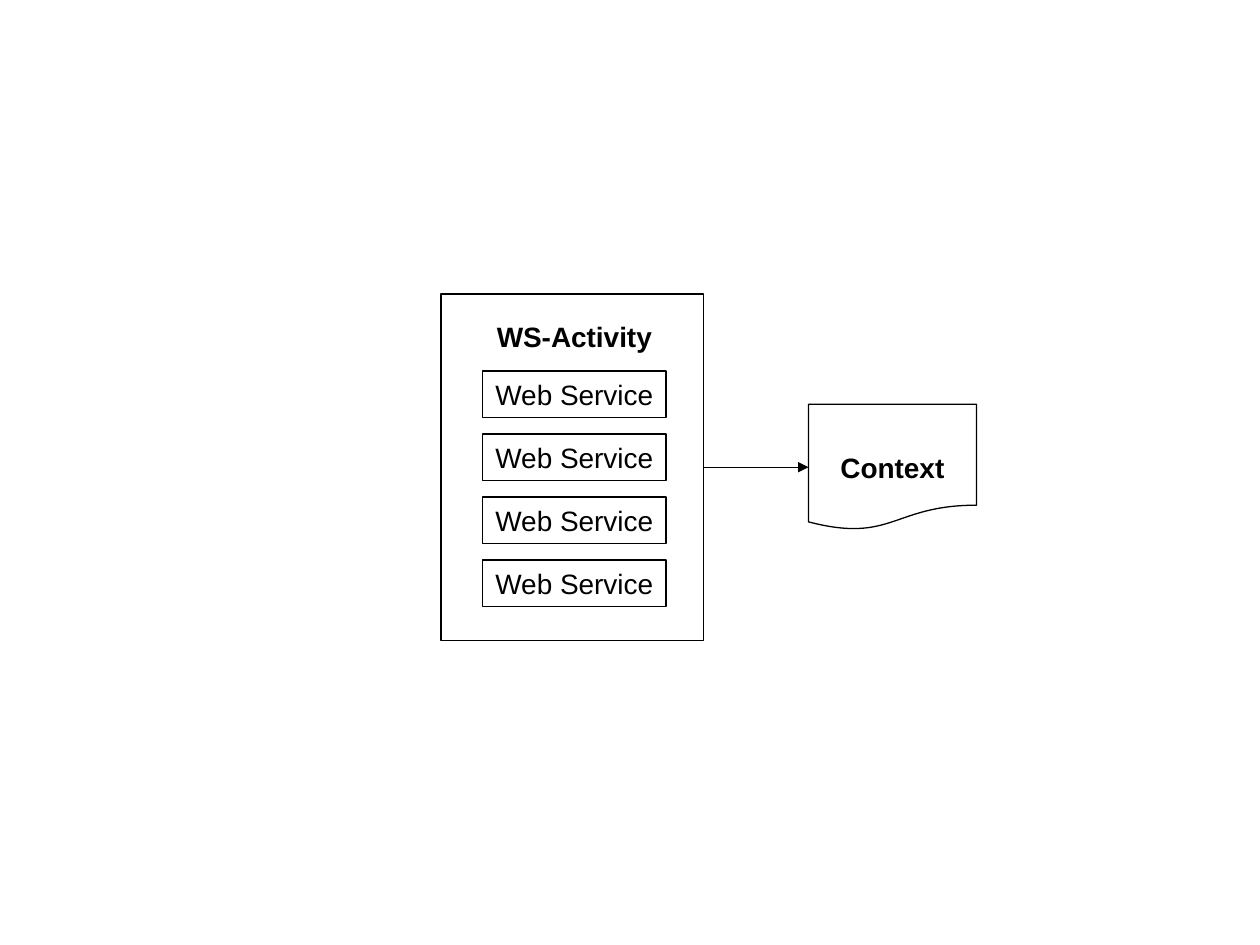
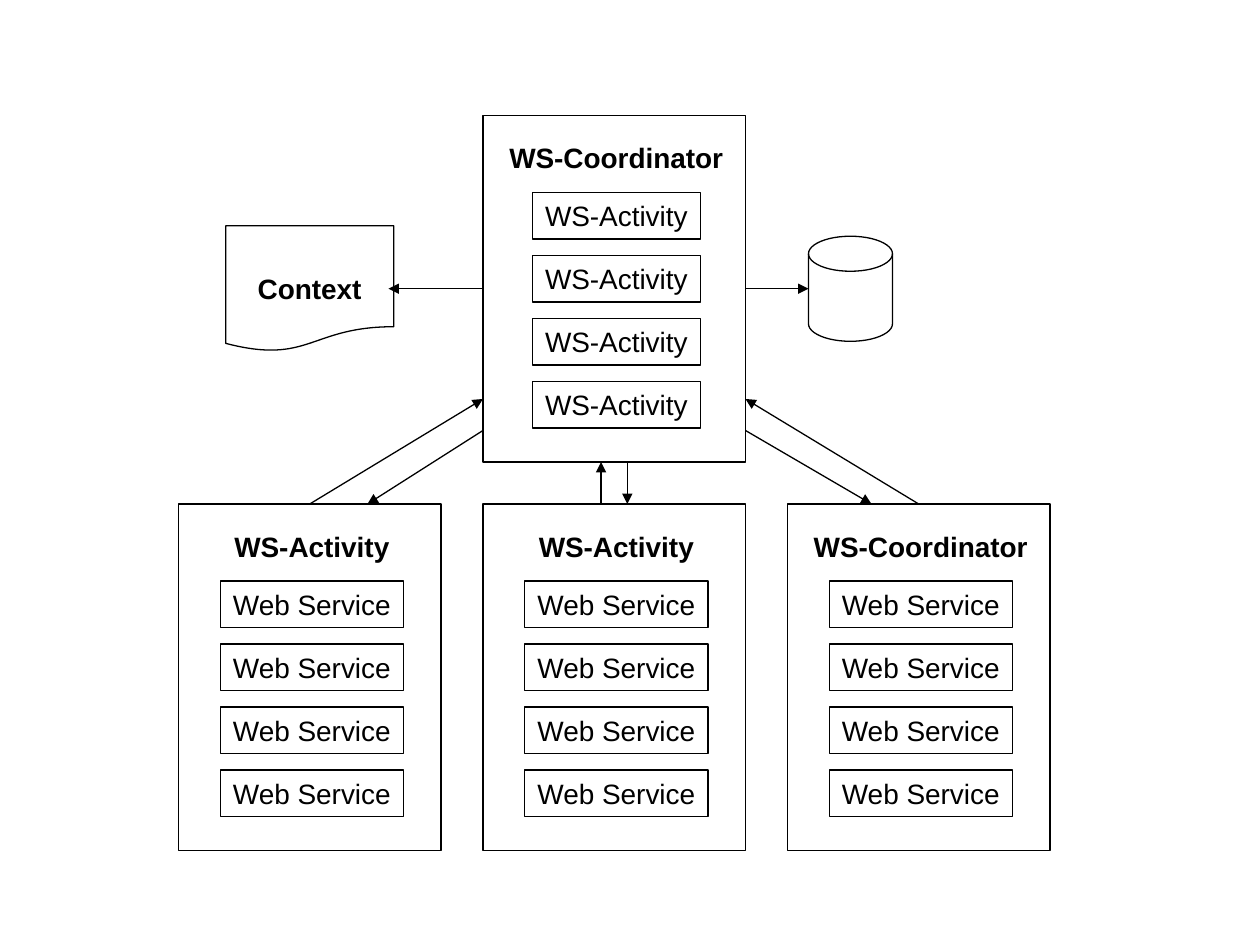
from lxml.etree import SubElement
from pptx import Presentation
from pptx.dml.color import RGBColor
from pptx.enum.shapes import MSO_CONNECTOR, MSO_SHAPE
from pptx.enum.text import MSO_ANCHOR, MSO_AUTO_SIZE, PP_ALIGN
from pptx.oxml.ns import qn
from pptx.util import Inches, Pt

BLACK = RGBColor(0x00, 0x00, 0x00)
FONT, TEXT_SIZE, LINE_WIDTH = "Arial", Pt(16), Pt(0.75)

# All lengths below are cells of a grid of 120 columns by 90 rows.
SLIDE_WIDTH, SLIDE_HEIGHT = Inches(10), Inches(7.5)
CELL = SLIDE_WIDTH / 120

PANEL_WIDTH, PANEL_HEIGHT = 25, 33
PANEL_AXIS = PANEL_WIDTH / 2 + 0.2
HEADING_TOP, FIRST_ENTRY_TOP, ENTRY_PITCH = 1.8, 7.33, 6
LABEL_HEIGHT = 4.43
CONTEXT_WIDTH, CONTEXT_HEIGHT, CONTEXT_LABEL_TOP = 16, 12, 3.8
HEADING_WIDTHS = {"WS-Activity": 17.4, "WS-Coordinator": 23, "Context": 13}
ENTRY_WIDTHS = {"Web Service": 17.45, "WS-Activity": 16}
ENTRY_COUNT = 4
TOP, LEFT, BOTTOM, RIGHT = range(4)

# Panels: name -> (heading, entry, left, top). Arrow ends: a grid point,
# or the name of a part and the side where the arrow joins it.
SLIDES = [
    {
        "panels": {"activity": ("WS-Activity", "Web Service", 42, 28)},
        "context": (77, 38.5),
        "arrows": [(("activity", RIGHT), ("context", LEFT))],
    },
    {
        "panels": {
            "left": ("WS-Activity", "Web Service", 17, 48),
            "middle": ("WS-Activity", "Web Service", 46, 48),
            "right": ("WS-Coordinator", "Web Service", 75, 48),
            "coordinator": ("WS-Coordinator", "WS-Activity", 46, 11),
        },
        "context": (21.5, 21.5),
        "store": (77, 22.5, 8, 10),
        "arrows": [
            (("left", TOP), (46, 38)),
            ((46, 41), (35, 48)),
            ((57.25, 48), (57.25, 44)),
            ((59.75, 44), (59.75, 48)),
            (("right", TOP), (71, 38)),
            ((71, 41), (83, 48)),
            (("coordinator", LEFT), (37, 27.5)),
            (("coordinator", RIGHT), (77, 27.5)),
        ],
    },
]


def cells(*counts):
    return [round(count * CELL) for count in counts]


def add_outline(shapes, preset, left, top, width, height):
    outline = shapes.add_shape(preset, *cells(left, top, width, height))
    outline.shadow.inherit = False
    outline.fill.background()
    outline.line.color.rgb = BLACK
    outline.line.width = LINE_WIDTH
    return outline


def write(holder, wording, bold=False):
    frame = holder.text_frame
    frame.word_wrap = False
    frame.auto_size = MSO_AUTO_SIZE.SHAPE_TO_FIT_TEXT
    frame.vertical_anchor = MSO_ANCHOR.TOP
    paragraph = frame.paragraphs[0]
    paragraph.alignment = PP_ALIGN.CENTER
    run = paragraph.add_run()
    run.text = wording
    run.font.name, run.font.size, run.font.bold = FONT, TEXT_SIZE, bold
    run.font.color.rgb = BLACK


def add_heading(shapes, wording, axis, top):
    """Bold label centred on the vertical line at axis."""
    width = HEADING_WIDTHS[wording]
    label = shapes.add_textbox(*cells(axis - width / 2, top, width, LABEL_HEIGHT))
    write(label, wording, bold=True)


def add_panel(slide, heading, entry, left, top):
    """Framed heading above a column of equal entries; returns the frame."""
    shapes = slide.shapes.add_group_shape().shapes
    frame = add_outline(shapes, MSO_SHAPE.RECTANGLE, left, top, PANEL_WIDTH, PANEL_HEIGHT)
    axis = left + PANEL_AXIS
    add_heading(shapes, heading, axis, top + HEADING_TOP)
    width = ENTRY_WIDTHS[entry]
    for row in range(ENTRY_COUNT):
        entry_top = top + FIRST_ENTRY_TOP + row * ENTRY_PITCH
        box = add_outline(shapes, MSO_SHAPE.RECTANGLE,
                          axis - width / 2, entry_top, width, LABEL_HEIGHT)
        write(box, entry)
    return frame


def add_context(slide, left, top):
    shapes = slide.shapes.add_group_shape().shapes
    document = add_outline(shapes, MSO_SHAPE.FLOWCHART_DOCUMENT,
                           left, top, CONTEXT_WIDTH, CONTEXT_HEIGHT)
    add_heading(shapes, "Context", left + CONTEXT_WIDTH / 2, top + CONTEXT_LABEL_TOP)
    return document


def add_arrow(slide, parts, start, end):
    loose = [(0, 0) if point[0] in parts else point for point in (start, end)]
    arrow = slide.shapes.add_connector(
        MSO_CONNECTOR.STRAIGHT, *cells(*loose[0], *loose[1]))
    for point, join in ((start, arrow.begin_connect), (end, arrow.end_connect)):
        if point[0] in parts:
            join(parts[point[0]], point[1])
    arrow.line.color.rgb = BLACK
    arrow.line.width = LINE_WIDTH
    SubElement(arrow.line._get_or_add_ln(), qn("a:tailEnd"), type="triangle")
    SubElement(arrow._element.spPr, qn("a:effectLst"))


def main():
    deck = Presentation()
    deck.slide_width, deck.slide_height = SLIDE_WIDTH, SLIDE_HEIGHT
    for content in SLIDES:
        slide = deck.slides.add_slide(deck.slide_layouts[6])
        parts = {name: add_panel(slide, *panel)
                 for name, panel in content["panels"].items()}
        parts["context"] = add_context(slide, *content["context"])
        if "store" in content:
            add_outline(slide.shapes, MSO_SHAPE.FLOWCHART_MAGNETIC_DISK, *content["store"])
        for start, end in content["arrows"]:
            add_arrow(slide, parts, start, end)
    deck.save("out.pptx")


if __name__ == "__main__":
    main()
